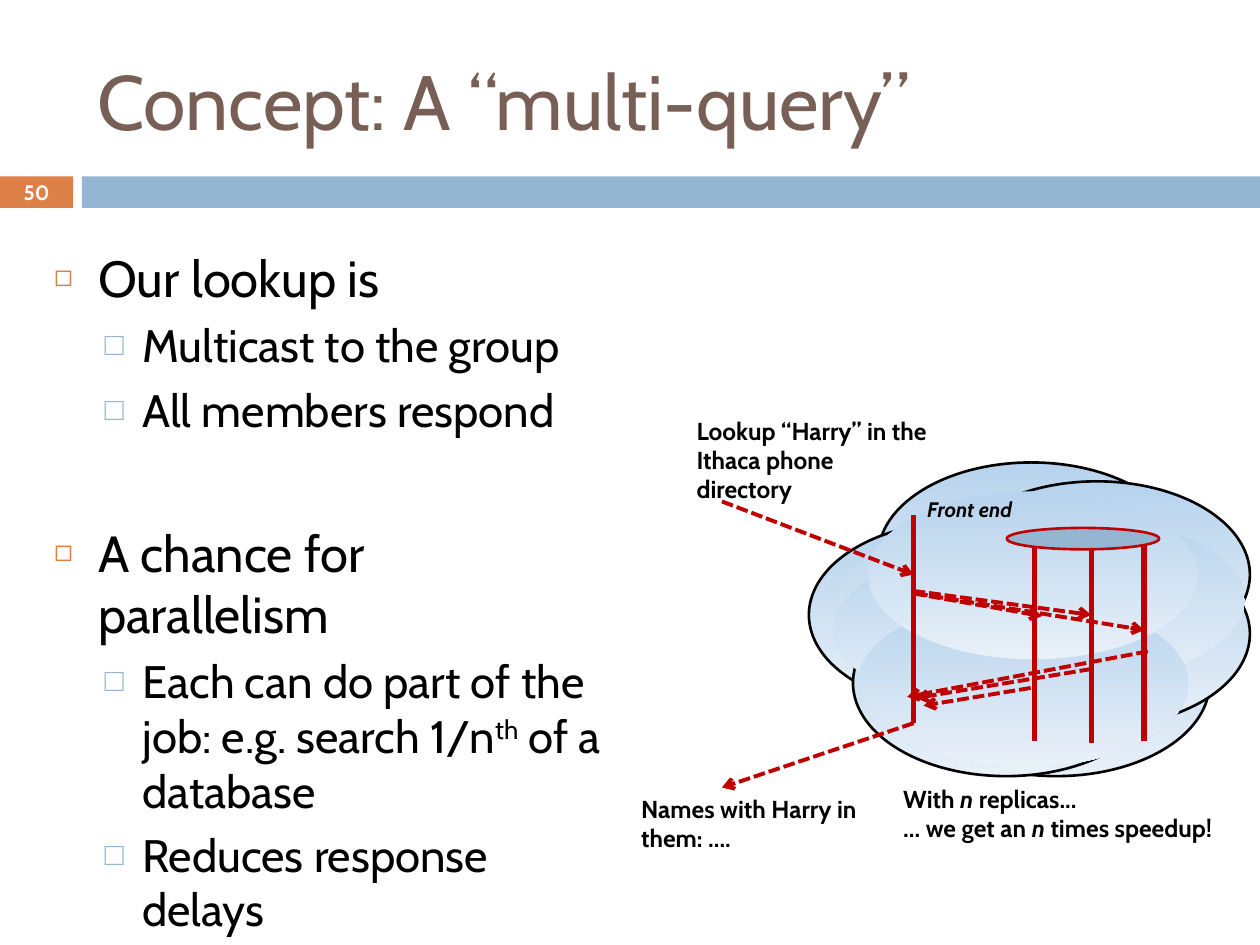
from lxml.etree import SubElement as Sub
from pptx import Presentation
from pptx.dml.color import RGBColor
from pptx.enum.dml import MSO_LINE
from pptx.enum.shapes import MSO_CONNECTOR, MSO_SHAPE as SHAPE
from pptx.enum.text import MSO_ANCHOR as ANCHOR, MSO_AUTO_SIZE as AUTO, PP_ALIGN as ALIGN
from pptx.oxml.ns import qn
from pptx.util import Inches, Pt

BLACK = RGBColor(0x00, 0x00, 0x00)
WHITE = RGBColor(0xFF, 0xFF, 0xFF)
BROWN = RGBColor(0x77, 0x5F, 0x55)
ORANGE = RGBColor(0xDD, 0x80, 0x47)
BLUE = RGBColor(0x94, 0xB6, 0xD2)
RED = RGBColor(0xC0, 0x00, 0x00)
SKY = RGBColor(0xB7, 0xD3, 0xED)
MIST = RGBColor(0xE8, 0xF0, 0xF8)


def put(para, text, size=14, color=BLACK, bold=False, italic=False, raised=False):
    run = para.add_run()
    run.text = text
    font = run.font
    font.name, font.size, font.color.rgb = "Cabin", Pt(size), color
    font.bold, font.italic = bold, italic
    if raised:
        run._r.get_or_add_rPr().set("baseline", "30000")


def link(x1, y1, x2, y2, arrow=True):
    line = shapes.add_connector(MSO_CONNECTOR.STRAIGHT, Inches(x1), Inches(y1),
                                Inches(x2), Inches(y2))
    line.line.color.rgb = RED
    line.line.width = Pt(2.25 if arrow else 3)
    if arrow:
        line.line.dash_style = MSO_LINE.SQUARE_DOT
        Sub(line.line._get_or_add_ln(), qn("a:tailEnd"), type="arrow")
    Sub(line._element.spPr, qn("a:effectLst"))


deck = Presentation()
deck.slide_width, deck.slide_height = Inches(10), Inches(7.5)
slide = deck.slides.add_slide(deck.slide_layouts[1])
shapes = slide.shapes

# Bars under the title
for left, width, color in ((0, 0.58, ORANGE), (0.65, 9.35, BLUE)):
    bar = shapes.add_shape(SHAPE.RECTANGLE, Inches(left), Inches(1.4),
                           Inches(width), Inches(0.25))
    bar.shadow.inherit = False
    bar.fill.solid()
    bar.fill.fore_color.rgb = color
    bar.line.fill.background()

# Title
title = shapes.title
title.left, title.top = Inches(0.67), Inches(0.25)
title.width, title.height = Inches(8.92), Inches(1.08)
frame = title.text_frame
frame.auto_size = AUTO.NONE
frame.vertical_anchor = ANCHOR.MIDDLE
frame.paragraphs[0].alignment = ALIGN.LEFT
put(frame.paragraphs[0], "Concept: A “multi-query”", size=44, color=BROWN)

# Bullet list: level, space before, text parts with every second one raised
body = slide.placeholders[1]
body.left, body.top = Inches(0.33), Inches(1.91)
body.width, body.height = Inches(4.58), Inches(5)
frame = body.text_frame
frame.auto_size = AUTO.NONE
points = (
    (0, 0, ["Our lookup is"]),
    (1, 5.5, ["Multicast to the group"]),
    (1, 5.5, ["All members respond"]),
    (0, 49, ["A chance for parallelism"]),
    (1, 5.5, ["Each can do part of the job: e.g. search 1/n", "th", " of a database"]),
    (1, 5.5, ["Reduces response delays"]),
)
looks = ((29, 0.35, 0.35, ORANGE, "60000", "◻"), (26, 0.7, 0.3, BLUE, "70000", "□"))
for i, (level, gap, parts) in enumerate(points):
    size, left, hang, color, scale, mark = looks[level]
    para = frame.add_paragraph() if i else frame.paragraphs[0]
    para.level = level
    para.space_before = Pt(gap)
    props = para._p.get_or_add_pPr()
    props.set("marL", str(Inches(left)))
    props.set("indent", str(-Inches(hang)))
    Sub(Sub(props, qn("a:buClr")), qn("a:srgbClr"), val=str(color))
    Sub(props, qn("a:buSzPct"), val=scale)
    Sub(props, qn("a:buChar"), char=mark)
    for j, part in enumerate(parts):
        put(para, part, size=size, raised=j % 2 == 1)

# Cloud: outlined puffs, then plain ones that hide the inner outlines
puffs = [(x, y, 2.43, 1.48, True) for x, y in (
    (6.97, 3.67), (7.49, 3.82), (7.17, 4.68), (6.42, 4.14), (6.77, 4.68), (7.49, 4.29))]
puffs += [(6.66, 4.06, 3.22, 1.41, False), (6.62, 4.37, 2.55, 1.25, False),
          (6.81, 4.76, 2.62, 1.33, False), (6.89, 3.9, 2.62, 1.33, False)]
for x, y, width, height, edge in puffs:
    puff = shapes.add_shape(SHAPE.OVAL, Inches(x), Inches(y), Inches(width), Inches(height))
    puff.shadow.inherit = False
    puff.fill.gradient()
    puff.fill.gradient_angle = 270
    for stop, color in zip(puff.fill.gradient_stops, (SKY, MIST)):
        stop.color.rgb = color
    if edge:
        puff.line.color.rgb = BLACK
        puff.line.width = Pt(1.5)
    else:
        puff.line.fill.background()

# Time lines of the front end and the replicas
for x, y in ((7.25, 4.09), (9.08, 4.23), (8.21, 4.23), (8.66, 4.25)):
    link(x, y, x, y + 1.65, arrow=False)

# Replica group
group = shapes.add_shape(SHAPE.OVAL, Inches(7.99), Inches(4.19), Inches(1.21), Inches(0.17))
group.shadow.inherit = False
group.fill.solid()
group.fill.fore_color.rgb = BLUE
group.line.color.rgb = RED
group.line.width = Pt(1.5)

# Messages: request, multicast, replies, answer
for ends in (
    (5.73, 3.98, 7.25, 4.56),
    (7.25, 4.71, 8.27, 4.89), (7.25, 4.69, 8.66, 4.88), (7.27, 4.71, 9.08, 5),
    (9.11, 5.17, 7.2, 5.53), (8.66, 5.31, 7.27, 5.54), (8.18, 5.46, 7.33, 5.6),
    (7.25, 5.74, 5.73, 6.25),
):
    link(*ends)

# Labels: place, lines of text parts with every second one italic, format
labels = (
    ((0, 1.39, 0.58, 0.27), [["50"]], {"size": 11.9, "color": WHITE}),
    ((5.43, 3.25, 2.06, 0.57), [["Lookup “Harry” in the Ithaca phone directory"]], {}),
    ((7.26, 3.89, 1.42, 0.3), [["", "Front end"]], {"size": 12}),
    ((7.07, 6.17, 2.68, 0.57), [["With ", "n", " replicas..."],
                                ["... we get an ", "n", " times speedup!"]], {}),
    ((4.99, 6.25, 2.06, 0.57), [["Names with Harry in them: ...."]], {}),
)
for place, lines, look in labels:
    box = shapes.add_textbox(*map(Inches, place))
    frame = box.text_frame
    frame.word_wrap = True
    para = frame.paragraphs[0]
    if place[0] == 0:  # slide number
        frame.vertical_anchor = ANCHOR.MIDDLE
        para.alignment = ALIGN.CENTER
    for i, parts in enumerate(lines):
        if i:
            para.add_line_break()
        for j, part in enumerate(parts):
            if part:
                put(para, part, bold=True, italic=j % 2 == 1, **look)

deck.save("out.pptx")
